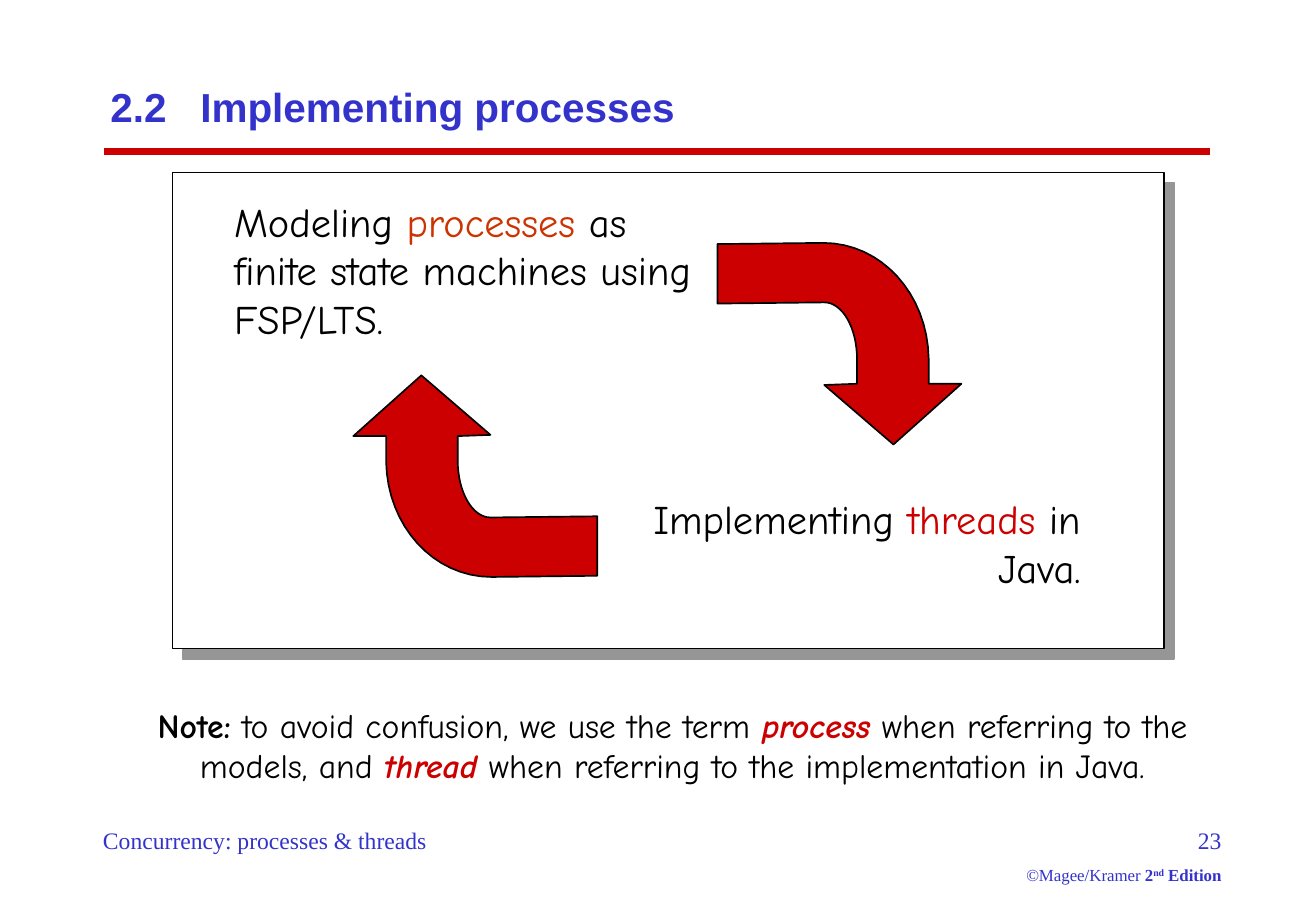
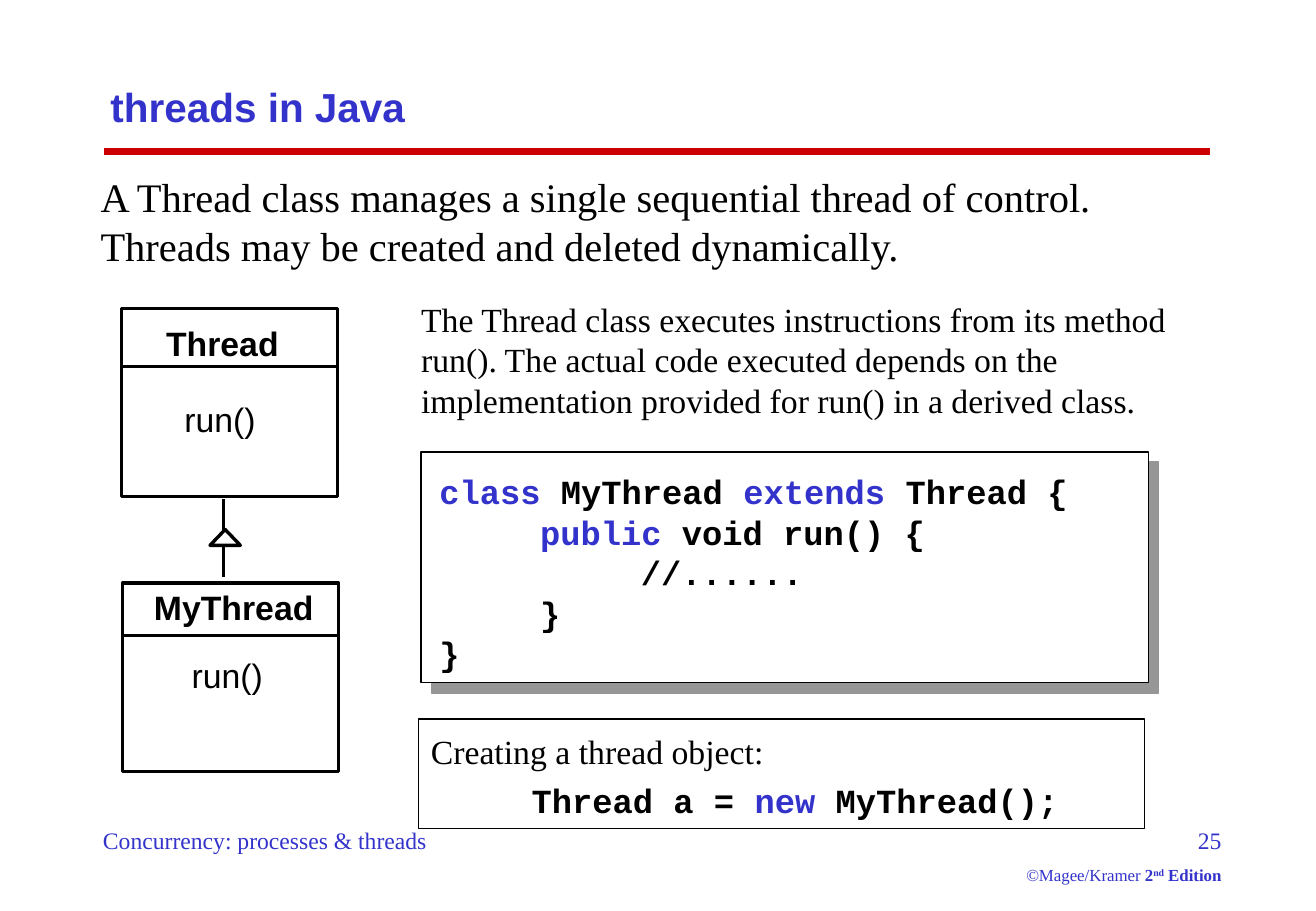
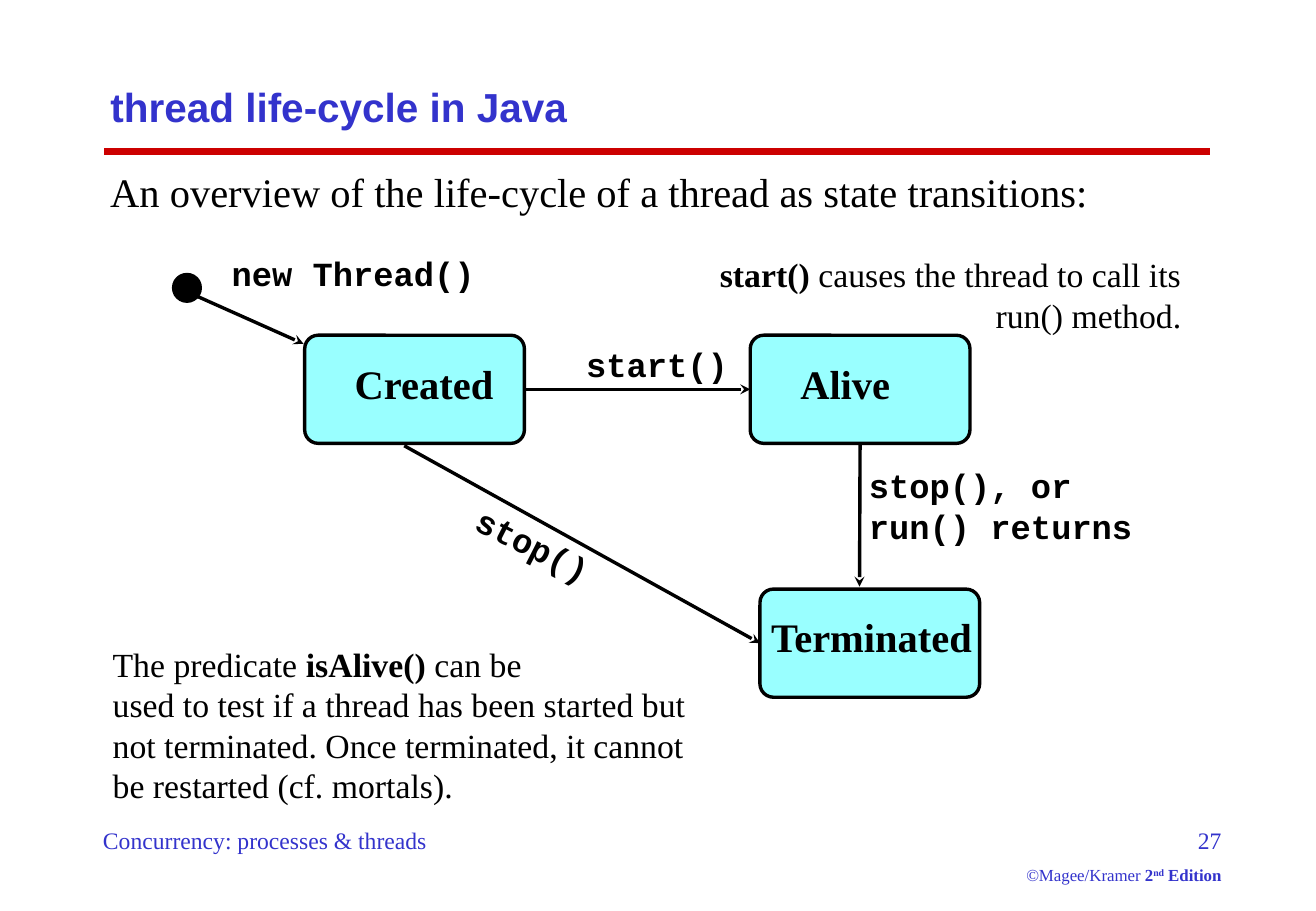
from lxml import etree
from pptx import Presentation
from pptx.dml.color import RGBColor
from pptx.enum.shapes import MSO_CONNECTOR, MSO_SHAPE
from pptx.enum.text import MSO_ANCHOR, MSO_AUTO_SIZE, PP_ALIGN
from pptx.oxml.ns import qn
from pptx.util import Inches, Pt

BLUE = RGBColor(0x33, 0x33, 0xCC)
RED = RGBColor(0xCC, 0x00, 0x00)
ORANGE = RGBColor(0xCC, 0x33, 0x00)
BLACK = RGBColor(0x00, 0x00, 0x00)
WHITE = RGBColor(0xFF, 0xFF, 0xFF)
CYAN = RGBColor(0x99, 0xFF, 0xFF)
SHADOW_GREY = RGBColor(0x96, 0x96, 0x96)

LEFT, CENTER, RIGHT = PP_ALIGN.LEFT, PP_ALIGN.CENTER, PP_ALIGN.RIGHT
RECTANGLE, ROUNDED = MSO_SHAPE.RECTANGLE, MSO_SHAPE.ROUNDED_RECTANGLE
TRIANGLE, OVAL = MSO_SHAPE.ISOSCELES_TRIANGLE, MSO_SHAPE.OVAL
STRAIGHT = MSO_CONNECTOR.STRAIGHT
TOP, MIDDLE = MSO_ANCHOR.TOP, MSO_ANCHOR.MIDDLE
SIDE_LEFT, SIDE_BOTTOM, SIDE_RIGHT = 1, 2, 3

SERIF, SANS, MONO, HAND = "Times New Roman", "Arial", "Courier New", "Comic Neue"
LARGE, MEDIUM = 24, 20
TAB = 0.83
INSETS = (0.1, 0.05, 0.1, 0.05)

BOLD = {"bold": True}
KEYWORD = {"color": BLUE}
TERM = {"color": RED, "bold": True, "italic": True}
CODE = {"font": MONO, "bold": True}
STATE_SIZE = (1.81, 0.89)
CLASS_SIZE = (1.78, 1.55)

# Turning arrow: straight moves hold one point, curves hold three
TURN_SIZE = (2.01, 1.66)
TURN_START = (0, 0.01)
TURN_MOVES = [
    [(0.87, 0)],
    [(1.35, 0), (1.73, 0.42), (1.74, 0.95)],
    [(1.74, 1.16)], [(2.01, 1.16)], [(1.45, 1.66)], [(0.88, 1.17)],
    [(1.15, 1.16)], [(1.15, 0.96)],
    [(1.15, 0.7), (1.03, 0.49), (0.88, 0.49)],
    [(0, 0.5)],
]
CURVE_STEPS = 16


def inches(values):
    return [Inches(value) for value in values]


def set_tabs(paragraph, tab):
    tabs = etree.SubElement(paragraph._p.get_or_add_pPr(), qn("a:tabLst"))
    for count in (1, 2):
        etree.SubElement(tabs, qn("a:tab"), pos=str(Inches(tab * count)), algn="l")


def add_run(paragraph, text, size, font=SERIF, color=BLACK, bold=False,
            italic=False, baseline=0):
    run = paragraph.add_run()
    run.text = text
    run.font.size, run.font.name = Pt(size), font
    run.font.bold, run.font.italic = bold, italic
    run.font.color.rgb = color
    if baseline:
        run._r.get_or_add_rPr().set("baseline", str(baseline * 1000))


def write(frame, paragraphs, size, align=LEFT, anchor=TOP, insets=INSETS,
          space=0, tab=TAB, **style):
    """Fill a frame; a run is a string or a (string, style changes) pair."""
    frame.word_wrap = True
    frame.auto_size = MSO_AUTO_SIZE.NONE
    frame.vertical_anchor = anchor
    (frame.margin_left, frame.margin_top,
     frame.margin_right, frame.margin_bottom) = inches(insets)
    for index, runs in enumerate(paragraphs):
        paragraph = frame.add_paragraph() if index else frame.paragraphs[0]
        paragraph.alignment = align
        if index and space:
            paragraph.space_before = Pt(space)
        runs = [(run, {}) if isinstance(run, str) else run for run in runs]
        if any("\t" in text for text, _ in runs):
            set_tabs(paragraph, tab)
        for text, changes in runs:
            add_run(paragraph, text, **{"size": size, **style, **changes})


def add_text(slide, box, paragraphs, size, **options):
    holder = slide.shapes.add_textbox(*inches(box))
    write(holder.text_frame, paragraphs, size, **options)
    return holder


def paint(shape, fill, line_width):
    shape.shadow.inherit = False
    if fill is None:
        shape.fill.background()
    else:
        shape.fill.solid()
        shape.fill.fore_color.rgb = fill
    shape.line.color.rgb = BLACK
    shape.line.width = Pt(line_width)


def add_box(slide, box, kind=RECTANGLE, fill=WHITE, line_width=2):
    shape = slide.shapes.add_shape(kind, *inches(box))
    paint(shape, fill, line_width)
    return shape


def add_line(slide, start, end, color=BLACK, width=2, arrow=False):
    line = slide.shapes.add_connector(STRAIGHT, *inches(start + end))
    line.line.color.rgb = color
    line.line.width = Pt(width)
    if arrow:
        etree.SubElement(line.line._get_or_add_ln(), qn("a:tailEnd"), type="stealth")
    etree.SubElement(line._element.spPr, qn("a:effectLst"))
    return line


def add_panel(slide, box):
    """White box with a hard grey shadow at the lower right."""
    panel = add_box(slide, box, line_width=1)
    effects = panel._element.spPr.find(qn("a:effectLst"))
    shadow = etree.SubElement(effects, qn("a:outerShdw"), dist=str(Pt(8.5)),
                              dir=str(45 * 60000), algn="ctr", rotWithShape="0")
    etree.SubElement(shadow, qn("a:srgbClr"), val=str(SHADOW_GREY))
    return panel


def add_base_slide(deck, title, number):
    """Slide with the shared title style, red rule and footers."""
    slide = deck.slides.add_slide(deck.slide_layouts[5])
    heading = slide.shapes.title
    heading.left, heading.top, heading.width, heading.height = inches(
        (0.81, 0.5, 9.27, 0.75))
    write(heading.text_frame, [[title]], LARGE, anchor=MIDDLE, tab=0.74,
          font=SANS, color=BLUE, bold=True)
    add_line(slide, (0.86, 1.25), (9.97, 1.25), RED, 4)
    add_text(slide, (0.75, 6.75, 3.42, 0.34),
             [["Concurrency: processes & threads"]], 14, color=BLUE)
    small, small_bold = {"size": 10}, {"size": 10, "bold": True}
    add_text(slide, (8.25, 6.75, 1.91, 0.59),
             [[str(number)],
              [("©Magee/Kramer ", small), ("2", small_bold),
               ("nd", {**small_bold, "baseline": 30}), (" Edition", small_bold)]],
             14, align=RIGHT, space=6.2, color=BLUE)
    return slide


def curve_points(start, first, second, end):
    for step in range(1, CURVE_STEPS + 1):
        t = step / CURVE_STEPS
        u = 1 - t
        yield tuple(u**3 * a + 3 * u * u * t * b + 3 * u * t * t * c + t**3 * d
                    for a, b, c, d in zip(start, first, second, end))


def add_turn_arrow(slide, left, top, rotation=0):
    points = [TURN_START]
    for move in TURN_MOVES:
        points += move if len(move) == 1 else list(curve_points(points[-1], *move))
    builder = slide.shapes.build_freeform(*inches(points[0]))
    builder.add_line_segments([inches(point) for point in points[1:]], close=True)
    arrow = builder.convert_to_shape(Inches(left), Inches(top))
    paint(arrow, RED, 1)
    arrow.rotation = rotation


def add_cycle_panel(slide, left, top, width, height):
    add_panel(slide, (left, top, width, height))
    add_text(slide, (left + 0.41, top + 0.15, 4.08, 1.3),
             [["Modeling ", ("processes", {"color": ORANGE}),
               " as finite state machines using FSP/LTS."]], LARGE, font=HAND)
    add_text(slide, (left + 3.75, top + 2.6, 3.83, 0.9),
             [["Implementing ", ("threads", {"color": RED}), " in Java."]],
             LARGE, align=RIGHT, font=HAND)
    add_turn_arrow(slide, left + 4.49, top + 0.58)
    add_turn_arrow(slide, left + 1.49, top + 1.67, rotation=180)


def add_class_box(slide, left, top, header, name, name_at, method_at):
    """UML class; name_at and method_at are offsets from its corner."""
    add_box(slide, (left, top, *CLASS_SIZE))
    add_line(slide, (left, top + header), (left + CLASS_SIZE[0], top + header))
    for text, (dx, dy), bold in ((name, name_at, True), ("run()", method_at, False)):
        add_text(slide, (left + dx, top + dy, 1.65, 0.43), [[text]], MEDIUM,
                 font=SANS, bold=bold)


def add_class_diagram(slide, left, top):
    add_class_box(slide, left, top, 0.48, "Thread", (0.27, 0.07), (0.42, 0.69))
    add_class_box(slide, left + 0.01, top + 2.26, 0.43, "MyThread",
                  (0.16, -0.02), (0.47, 0.54))
    add_line(slide, (left + 0.84, top + 2.21), (left + 0.84, top + 1.57))
    add_box(slide, (left + 0.73, top + 1.82, 0.25, 0.13), TRIANGLE)


def add_code_panel(slide, left, top, width, height):
    add_panel(slide, (left, top, width, height))
    add_text(slide, (left + 0.05, top + 0.11, width - 0.1, 1.77),
             [[("class", KEYWORD), " MyThread ", ("extends", KEYWORD), " Thread {"],
              ["\t", ("public", KEYWORD), " void run() {"],
              ["\t\t//......"], ["\t}"], ["}"]], MEDIUM, **CODE)


def add_creation_box(slide, box):
    creation = add_box(slide, box, fill=None, line_width=0.75)
    write(creation.text_frame,
          [["Creating a thread object:"],
           [("\tThread a = ", CODE), ("new", {**CODE, **KEYWORD}),
            (" MyThread();", CODE)]],
          MEDIUM, insets=(0.1, 0.1, 0.1, 0.05), space=4.8)


def add_state(slide, left, top, name, indent=0.38):
    state = add_box(slide, (left, top, *STATE_SIZE), ROUNDED, CYAN)
    state.adjustments[0] = 0.125
    write(state.text_frame, [[name]], LARGE, insets=(indent, 0.16, 0, 0), bold=True)
    return state


def add_life_cycle(slide, left, top):
    """State diagram whose corner is the top left of the Created state."""
    created = add_state(slide, left, top, "Created")
    alive = add_state(slide, left + 3.67, top, "Alive")
    terminated = add_state(slide, left + 3.75, top + 2.09, "Terminated", 0.06)
    add_box(slide, (left - 1.08, top - 0.5, 0.22, 0.22), OVAL, BLACK)

    def arrow(start, end):
        return add_line(slide, (left + start[0], top + start[1]),
                        (left + end[0], top + end[1]), arrow=True)

    arrow((-0.93, -0.34), (-0.01, 0.07))
    starting = arrow((1.82, 0.41), (3.66, 0.41))
    starting.begin_connect(created, SIDE_RIGHT)
    starting.end_connect(alive, SIDE_LEFT)
    returning = arrow((4.57, 0.91), (4.57, 2.07))
    returning.begin_connect(alive, SIDE_BOTTOM)
    stopping = arrow((0.82, 0.91), (3.74, 2.57))
    stopping.end_connect(terminated, SIDE_LEFT)

    labels = [
        (-0.7, -0.73, 2.4, ["new Thread()"], 0),
        (2.22, 0.02, 1.5, ["start()"], 0),
        (4.55, 1.02, 2.6, ["stop(), or", "run() returns"], 0),
        (1.28, 1.52, 1.25, ["stop()"], 27),
    ]
    for dx, dy, width, lines, rotation in labels:
        label = add_text(slide, (left + dx, top + dy, width, 0.1 + 0.33 * len(lines)),
                         [[line] for line in lines], MEDIUM, **CODE)
        label.rotation = rotation


def build_processes_slide(deck):
    slide = add_base_slide(deck, "2.2\tImplementing processes", 23)
    add_cycle_panel(slide, 1.42, 1.42, 8.17, 3.92)
    add_text(slide, (0.83, 5.75, 9.42, 0.77),
             [[("Note:", BOLD), " to avoid confusion, we use the term ",
               ("process", TERM), " when referring to the models, and ",
               ("thread", TERM), " when referring to the implementation in Java."]],
             MEDIUM, align=CENTER, font=HAND)


def build_threads_slide(deck):
    slide = add_base_slide(deck, "threads in Java", 25)
    add_text(slide, (0.73, 1.37, 9.27, 0.9),
             [["A Thread class manages a single sequential thread of control. "
               "Threads may be created and deleted dynamically."]], LARGE)
    add_class_diagram(slide, 1, 2.54)
    add_text(slide, (3.37, 2.41, 6.5, 1.1),
             [["The Thread class executes instructions from its method run(). "
               "The actual code executed depends on the implementation provided "
               "for run() in a derived class."]], MEDIUM)
    add_code_panel(slide, 3.47, 3.72, 5.99, 1.9)
    add_creation_box(slide, (3.45, 5.92, 5.98, 0.9))


def build_life_cycle_slide(deck):
    slide = add_base_slide(deck, "thread life-cycle in Java", 27)
    add_text(slide, (0.81, 1.33, 9, 0.5),
             [["An overview of the life-cycle of a thread as state transitions:"]],
             LARGE)
    add_life_cycle(slide, 2.51, 2.76)
    add_text(slide, (0.83, 5.25, 5, 1.44),
             [["The predicate ", ("isAlive()", BOLD), " can be"],
              ["used to test if a thread has been started but not terminated. "
               "Once terminated, it cannot be restarted (cf. mortals)."]], MEDIUM)
    add_text(slide, (5.75, 2.04, 4.08, 0.77),
             [[("start()", BOLD), " causes the thread to call its run() method."]],
             MEDIUM, align=RIGHT)


def main():
    deck = Presentation()
    deck.slide_width, deck.slide_height = Inches(10.84), Inches(7.5)
    build_processes_slide(deck)
    build_threads_slide(deck)
    build_life_cycle_slide(deck)
    deck.save("out.pptx")


if __name__ == "__main__":
    main()
